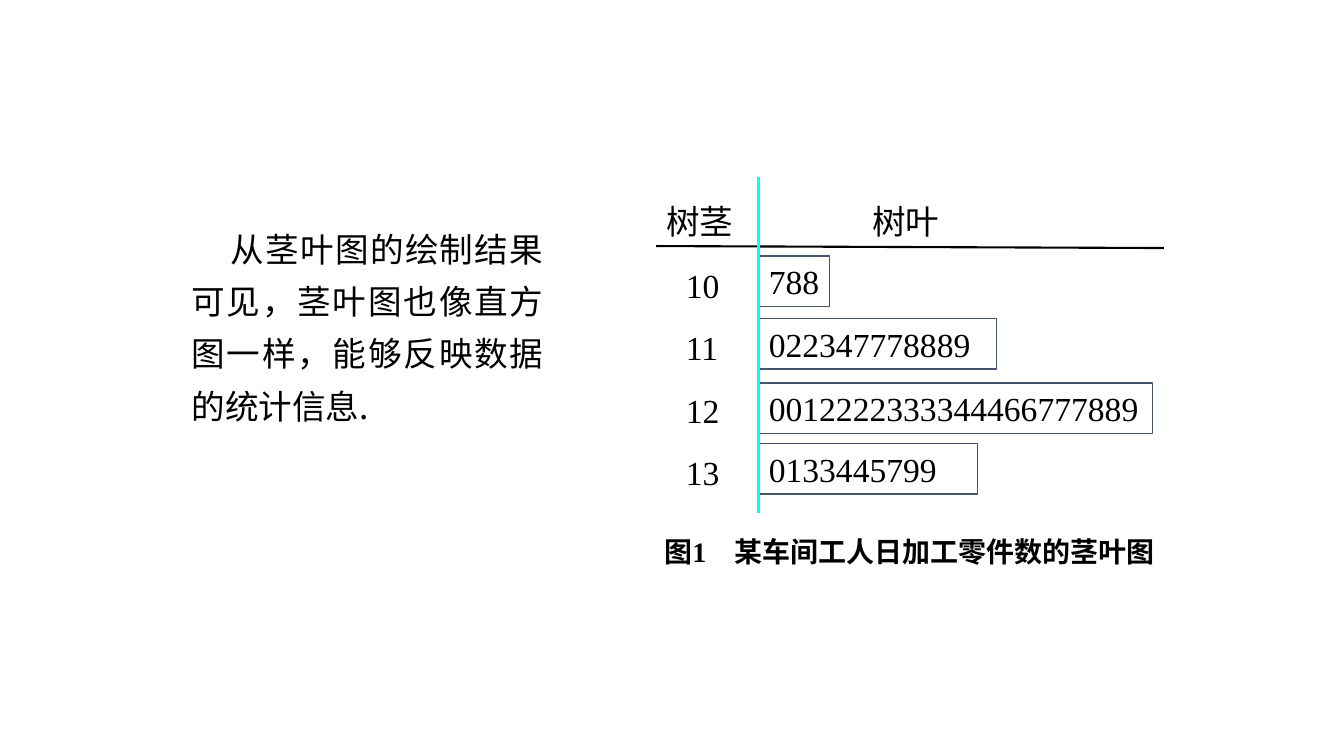
from lxml import etree
from pptx import Presentation
from pptx.dml.color import RGBColor
from pptx.enum.shapes import MSO_CONNECTOR, MSO_SHAPE
from pptx.enum.text import MSO_ANCHOR, PP_ALIGN
from pptx.oxml.ns import qn
from pptx.util import Cm, Pt

RECTANGLE = MSO_SHAPE.RECTANGLE
STRAIGHT = MSO_CONNECTOR.STRAIGHT
TOP = MSO_ANCHOR.TOP
LEFT, CENTER, JUSTIFY = PP_ALIGN.LEFT, PP_ALIGN.CENTER, PP_ALIGN.JUSTIFY

COLORS = {"text": "000000", "box": "FFFFFF", "border": "44546A", "divider": "00FFFF"}
LATIN, CJK = "Times New Roman", "Noto Sans CJK SC"

EXPLANATION = "从茎叶图的绘制结果可见，茎叶图也像直方图一样，能够反映数据的统计信息."
STEM_HEADING, LEAF_HEADING = "树茎", "树叶"
CAPTION = "图1　某车间工人日加工零件数的茎叶图"
# stem, leaves, top and width of the leaf box in cm
ROWS = [
    ("10", "788", 6.45, 1.78),
    ("11", "022347778889", 8.03, 5.99),
    ("12", "0012222333344466777889", 9.65, 9.93),
    ("13", "0133445799", 11.18, 5.51),
]

STEM_LEFT, STEM_TOP, STEM_PITCH = 17.04, 6.55, 1.57
DIVIDER_X = 19.13
HEADING_TOP, ROW_HEIGHT = 4.93, 1.27


def rgb(name):
    return RGBColor.from_string(COLORS[name])


def write(sp, text, size=24, font=LATIN, bold=False, align=LEFT):
    tf = sp.text_frame
    tf.word_wrap = True
    tf.vertical_anchor = TOP
    p = tf.paragraphs[0]
    p.text = text
    p.alignment = align
    p.font.size = Pt(size)
    p.font.bold = bold
    p.font.name = font
    p.font.color.rgb = rgb("text")
    props = p._p.get_or_add_pPr().find(qn("a:defRPr"))
    etree.SubElement(props, qn("a:ea"), typeface=CJK)
    return p


def add_text(slide, box, text, **style):
    sp = slide.shapes.add_textbox(*map(Cm, box))
    return write(sp, text, **style)


def add_leaf_box(slide, top, width, leaves):
    sp = slide.shapes.add_shape(
        RECTANGLE, Cm(DIVIDER_X), Cm(top), Cm(width), Cm(ROW_HEIGHT))
    sp.shadow.inherit = False
    sp.fill.solid()
    sp.fill.fore_color.rgb = rgb("box")
    sp.line.color.rgb = rgb("border")
    sp.line.width = Pt(1)
    write(sp, leaves)


def add_line(slide, ends, color, width):
    line = slide.shapes.add_connector(STRAIGHT, *map(Cm, ends))
    line.line.color.rgb = rgb(color)
    line.line.width = Pt(width)
    etree.SubElement(line._element.spPr, qn("a:effectLst"))


def main():
    prs = Presentation()
    prs.slide_width, prs.slide_height = Cm(33.88), Cm(19.05)
    slide = prs.slides.add_slide(prs.slide_layouts[6])

    p = add_text(slide, (3.94, 5.33, 10.01, 5.79), EXPLANATION, font=CJK, align=JUSTIFY)
    p.line_spacing = 1.3
    pPr = p._p.get_or_add_pPr()
    pPr.set("marL", str(Cm(0.64)))
    pPr.set("indent", str(Cm(0.99)))

    add_text(slide, (16.54, HEADING_TOP, 2.59, ROW_HEIGHT), STEM_HEADING)
    add_text(slide, (21.74, HEADING_TOP, 5.05, ROW_HEIGHT), LEAF_HEADING)
    for i, (stem, leaves, top, width) in enumerate(ROWS):
        stem_top = STEM_TOP + i * STEM_PITCH
        add_text(slide, (STEM_LEFT, stem_top, 1.91, ROW_HEIGHT), stem)
        add_leaf_box(slide, top, width, leaves)
    add_text(slide, (16.33, 13.34, 13.21, 1.12), CAPTION, size=20, bold=True, align=CENTER)

    add_line(slide, (16.54, 6.2, 29.34, 6.25), "text", 1.5)
    add_line(slide, (DIVIDER_X, 4.47, DIVIDER_X, 12.93), "divider", 2)
    prs.save("out.pptx")


if __name__ == "__main__":
    main()
